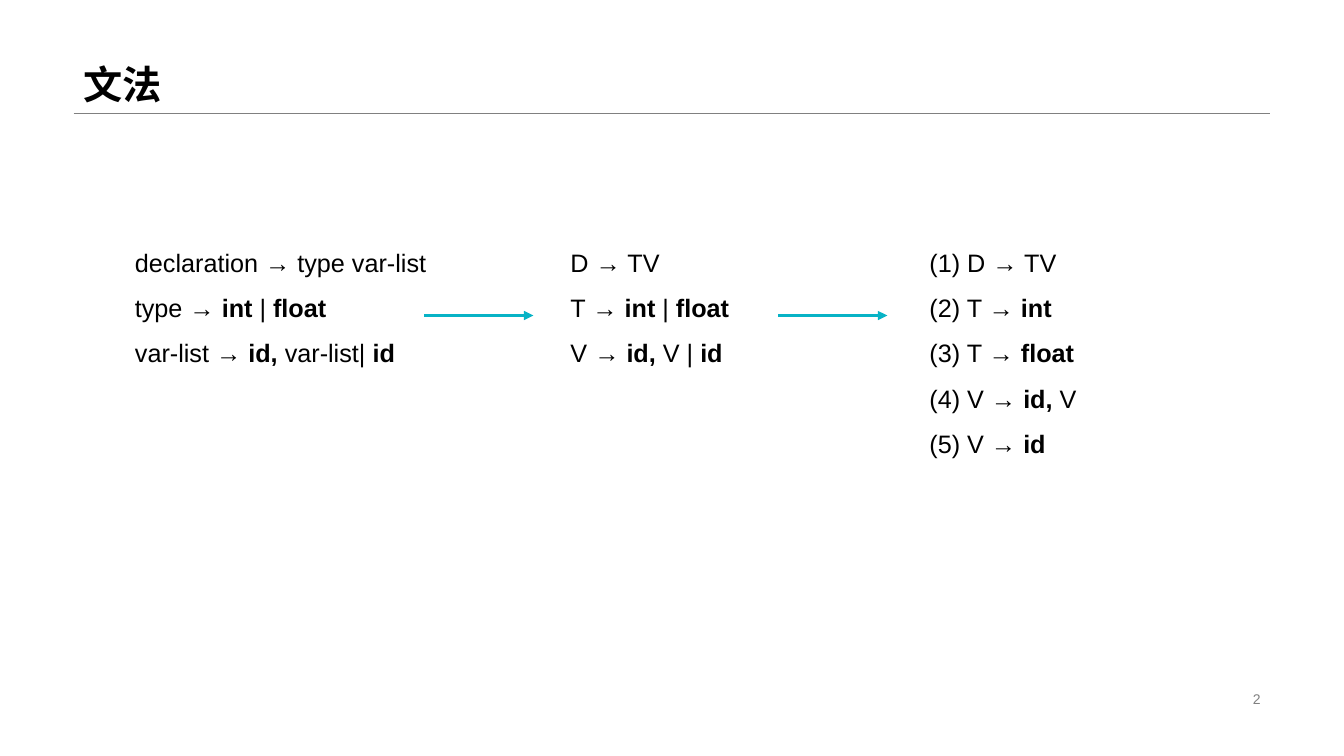
from pptx import Presentation
from pptx.dml.color import RGBColor
from pptx.enum.shapes import MSO_CONNECTOR
from pptx.enum.text import MSO_ANCHOR, MSO_AUTO_SIZE, PP_ALIGN
from pptx.oxml.ns import qn
from pptx.util import Pt
from lxml.etree import SubElement

PX = 9144
THEME = {
    "face": "Arial",
    "ink": RGBColor(0, 0, 0),
    "gray": RGBColor(128, 128, 128),
    "teal": RGBColor(7, 179, 198),
    "title": Pt(28),
    "body": Pt(18),
    "small": Pt(10),
    "thin": Pt(0.25),
    "thick": Pt(2.25),
}


def write(shape, lines, size, color, frame, para):
    text = shape.text_frame
    for name, value in frame.items():
        setattr(text, name, value)
    for row, line in enumerate(lines):
        par = text.add_paragraph() if row else text.paragraphs[0]
        for name, value in para.items():
            setattr(par, name, value)
        for part, words in enumerate(line.split("*")):
            if words:
                run = par.add_run()
                run.text = words
                font = {"name": THEME["face"], "size": THEME[size], "bold": part % 2 == 1}
                for name, value in font.items():
                    setattr(run.font, name, value)
                run.font.color.rgb = THEME[color]


def draw(left, right, y, color, width):
    line = slide.shapes.add_connector(
        MSO_CONNECTOR.STRAIGHT, left * PX, y * PX, right * PX, y * PX)
    line.line.color.rgb = THEME[color]
    line.line.width = THEME[width]
    SubElement(line._element.spPr, qn("a:effectLst"))
    return line


deck = Presentation()
deck.slide_width = 1333 * PX
deck.slide_height = 750 * PX
slide = deck.slides.add_slide(deck.slide_layouts[5])

draw(73, 1260, 112, "gray", "thin")

title = slide.shapes.title
place = {"left": 73, "top": 0, "width": 1187, "height": 112}
for name, value in place.items():
    setattr(title, name, value * PX)
write(title, ["*文法*"], "title", "ink",
      {"vertical_anchor": MSO_ANCHOR.BOTTOM, "word_wrap": True},
      {"alignment": PP_ALIGN.LEFT, "line_spacing": 0.9})

number = slide.shapes.add_textbox(942 * PX, 682 * PX, 318 * PX, 23 * PX)
write(number, ["2"], "small", "gray",
      {"vertical_anchor": MSO_ANCHOR.MIDDLE, "word_wrap": True},
      {"alignment": PP_ALIGN.RIGHT})

grammars = [
    (124, 340, 141, ["declaration → type var-list",
                     "type → *int *| *float*",
                     "var-list → *id, *var-list| *id*"]),
    (556, 222, 141, ["D → TV",
                     "T → *int *| *float*",
                     "V → *id, *V | *id*"]),
    (912, 196, 232, ["(1) D → TV",
                     "(2) T → *int*",
                     "(3) T → *float*",
                     "(4) V → *id, *V",
                     "(5) V → *id*"]),
]
for left, width, height, rules in grammars:
    box = slide.shapes.add_textbox(left * PX, 225 * PX, width * PX, height * PX)
    write(box, rules, "body", "ink",
          {"word_wrap": True, "auto_size": MSO_AUTO_SIZE.SHAPE_TO_FIT_TEXT},
          {"line_spacing": 1.5})

for left in (421, 772):
    arrow = draw(left, left + 108, 313, "teal", "thick")
    SubElement(arrow.line._get_or_add_ln(), qn("a:tailEnd"), type="triangle")

deck.save("out.pptx")
